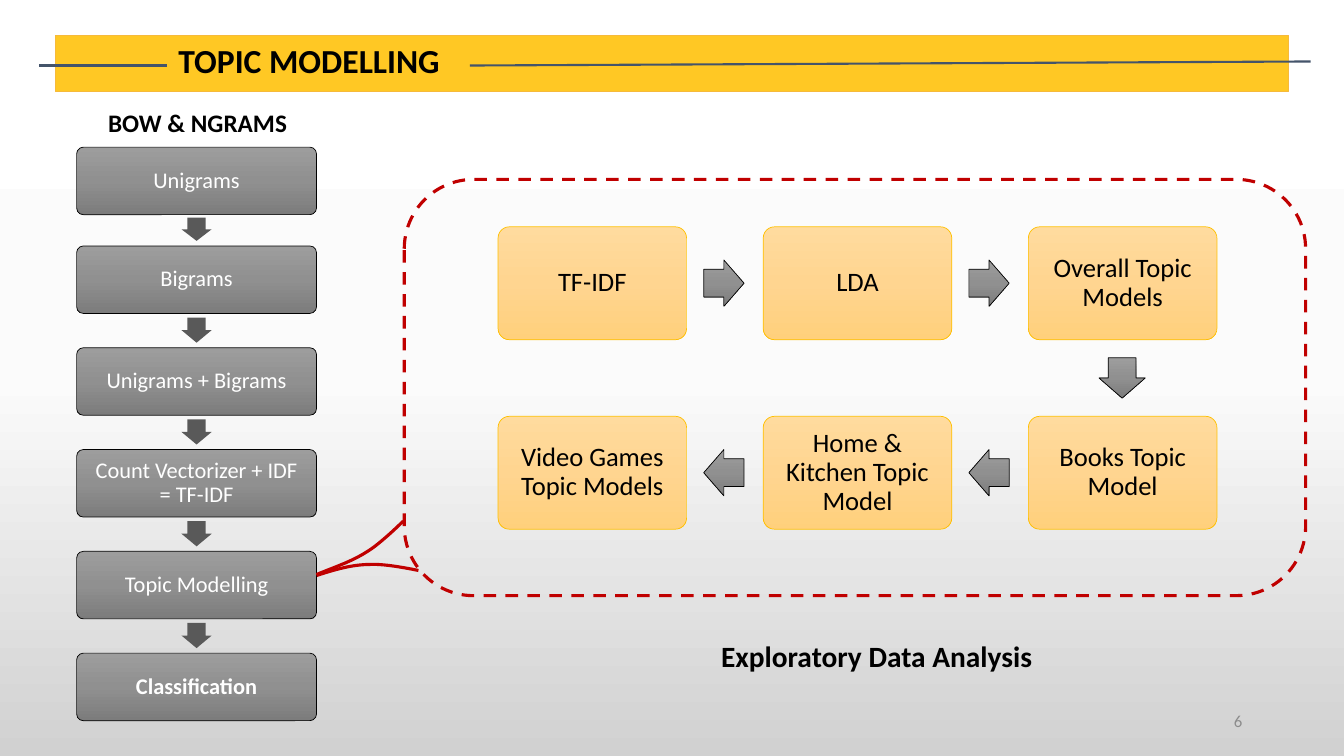
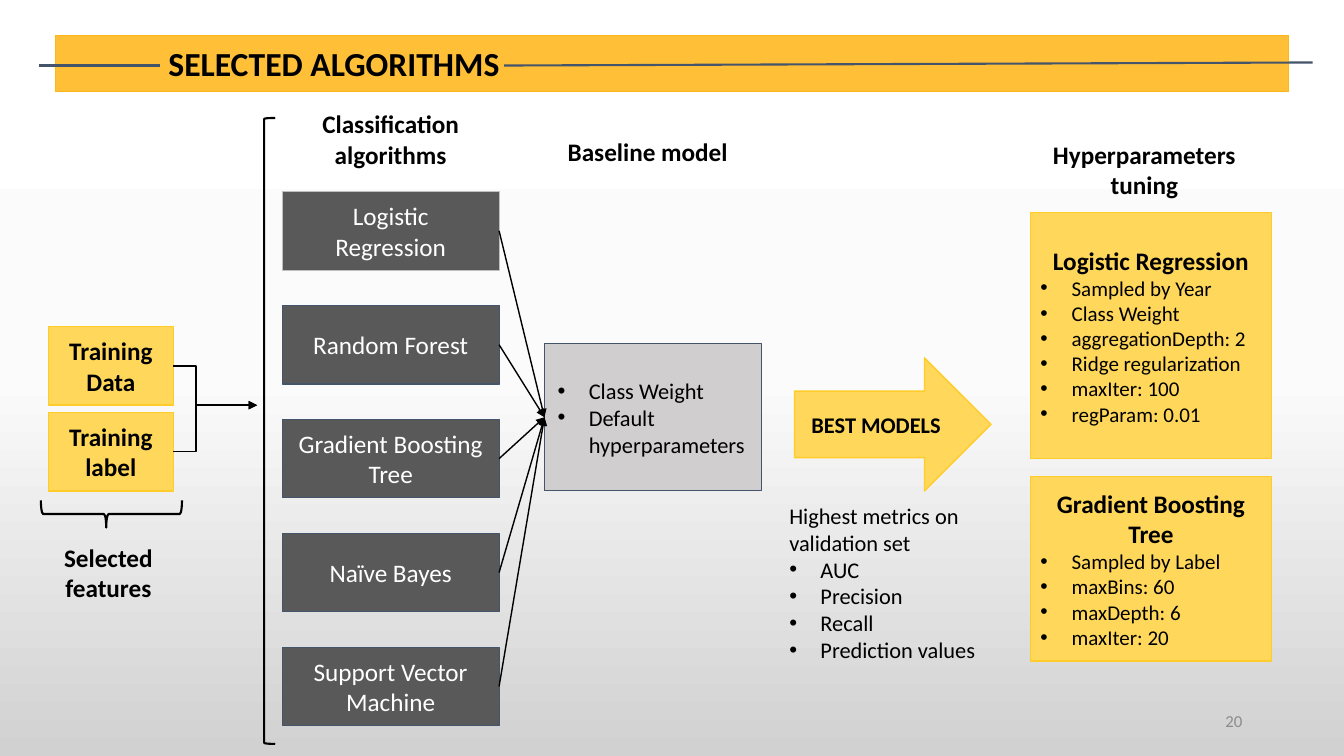
import itertools
from dataclasses import dataclass
from typing import Any, Optional

import lxml.etree
import pptx
import pptx.dml.color
import pptx.enum.dml
import pptx.enum.shapes
import pptx.enum.text
import pptx.oxml.ns
import pptx.util

# Shared measures, colours and types
EMU_PER_PX = 9144  # 100 px to the inch
FONT = "Calibri"
BLACK, WHITE, SLATE, CHARCOAL, RED = "000000", "FFFFFF", "44546A", "595959", "C00000"
YELLOW, YELLOW_EDGE, NUMBER_GREY = "FFD85B", "FFCC29", "8C8C8C"
BACKDROP = ("FFFFFF", "FBFBFB", "D1D1D1")
STEEL = ("9D9D9D", "909090", "7C7C7C")
AMBER = ("FFDB9E", "FFD590", "FFD07C")
SHAPE = pptx.enum.shapes.MSO_SHAPE
CONNECTOR = pptx.enum.shapes.MSO_CONNECTOR
ALIGN = pptx.enum.text.PP_ALIGN
ANCHOR = pptx.enum.text.MSO_ANCHOR
Point = tuple[int, int]


@dataclass(frozen=True)
class Rect:
    left: int
    top: int
    width: int
    height: int

    @property
    def center(self) -> Point:
        return self.left + self.width // 2, self.top + self.height // 2

    def emu(self) -> list[int]:
        return [px(side) for side in (self.left, self.top, self.width, self.height)]


@dataclass(frozen=True)
class Header:
    title: str
    title_rect: Rect
    band: str
    band_edge: str
    rule_left_end: int
    rule_right: tuple[Point, Point]
    number: str


@dataclass(frozen=True)
class Label:
    text: str
    rect: Rect
    size: float = 18


@dataclass(frozen=True)
class TuningCard:
    model: str
    rect: Rect
    settings: str


def px(length: float) -> int:
    return round(length * EMU_PER_PX)


def rgb(value: str) -> pptx.dml.color.RGBColor:
    return pptx.dml.color.RGBColor.from_string(value)


def child(parent: Any, tag: str, **attributes: str) -> Any:
    return lxml.etree.SubElement(parent, pptx.oxml.ns.qn(tag), attributes)


# Formatting helpers
def paint_gradient(fill: Any, element: Any, colors: tuple[str, ...]) -> None:
    """Fill from top to bottom with evenly spaced colours."""
    fill.gradient()
    fill.gradient_angle = 270
    stops = element.find(".//" + pptx.oxml.ns.qn("a:gsLst"))
    for stop in list(stops):
        stops.remove(stop)
    for index, color in enumerate(colors):
        position = str(100000 * index // (len(colors) - 1))
        child(child(stops, "a:gs", pos=position), "a:srgbClr", val=color)


def set_line(line: Any, color: str, weight: float) -> None:
    line.color.rgb = rgb(color)
    line.width = pptx.util.Pt(weight)


def write(box: Any, text: str, *, size: float = 18, color: str = BLACK,
          bold: bool = False, align: Any = ALIGN.CENTER, anchor: Any = ANCHOR.MIDDLE,
          inset: Point = (10, 5), spacing: Optional[float] = None,
          bullet: bool = False) -> None:
    """Add one paragraph to the box for each line of text."""
    frame = box.text_frame
    frame.word_wrap = True
    frame.auto_size = pptx.enum.text.MSO_AUTO_SIZE.NONE
    frame.vertical_anchor = anchor
    frame.margin_left = frame.margin_right = px(inset[0])
    frame.margin_top = frame.margin_bottom = px(inset[1])
    for line in text.split("\n"):
        para = frame.add_paragraph() if frame.text else frame.paragraphs[0]
        para.alignment = align
        if spacing:
            para.line_spacing = spacing
        if bullet:
            properties = para._p.get_or_add_pPr()
            properties.set("marL", str(px(31)))
            properties.set("indent", str(-px(31)))
            child(properties, "a:buFont", typeface="Arial")
            child(properties, "a:buChar", char="•")
        span = para.add_run()
        span.text = line
        span.font.name = FONT
        span.font.size = pptx.util.Pt(size)
        span.font.bold = bold
        span.font.color.rgb = rgb(color)


# Drawing helpers
def draw_shape(page: Any, kind: Any, rect: Rect, *, fill: Any = None,
               line: Optional[str] = None, weight: float = 0.75,
               adjust: tuple[float, ...] = (), rotation: float = 0) -> Any:
    shape = page.shapes.add_shape(kind, *rect.emu())
    shape.shadow.inherit = False
    shape.rotation = rotation
    for index, value in enumerate(adjust):
        shape.adjustments[index] = value
    if fill is None:
        shape.fill.background()
    elif isinstance(fill, tuple):
        paint_gradient(shape.fill, shape.element, fill)
    else:
        shape.fill.solid()
        shape.fill.fore_color.rgb = rgb(fill)
    if line:
        set_line(shape.line, line, weight)
    else:
        shape.line.fill.background()
    return shape


def draw_text(page: Any, rect: Rect, text: str, **style: Any) -> Any:
    box = page.shapes.add_textbox(*rect.emu())
    write(box, text, **{"anchor": ANCHOR.TOP, **style})
    return box


def draw_line(page: Any, start: Point, end: Point, *, color: str = BLACK,
              weight: float = 1, arrow: bool = False, bend: Optional[float] = None) -> None:
    kind = CONNECTOR.STRAIGHT if bend is None else CONNECTOR.ELBOW
    line = page.shapes.add_connector(kind, *[px(value) for value in start + end])
    set_line(line.line, color, weight)
    properties = line.element.spPr
    if bend is not None:
        guides = properties.find(".//" + pptx.oxml.ns.qn("a:avLst"))
        child(guides, "a:gd", name="adj1", fmla=f"val {round(bend * 100000)}")
    if arrow:
        child(properties.find(pptx.oxml.ns.qn("a:ln")), "a:tailEnd", type="triangle")
    child(properties, "a:effectLst")


def draw_curve(page: Any, points: list[Point], color: str, weight: float) -> None:
    """Trace cubic curves; each piece starts at the last point of the one before."""
    steps = 16
    trace = []
    for first in range(0, len(points) - 1, 3):
        a, b, c, d = points[first:first + 4]
        for t in (step / steps for step in range(1, steps + 1)):
            u = 1 - t
            trace.append(tuple(
                px(u**3 * a[i] + 3 * u * u * t * b[i] + 3 * u * t * t * c[i] + t**3 * d[i])
                for i in (0, 1)))
    builder = page.shapes.build_freeform(px(points[0][0]), px(points[0][1]))
    builder.add_line_segments(trace, close=False)
    curve = builder.convert_to_shape()
    curve.shadow.inherit = False
    curve.fill.background()
    set_line(curve.line, color, weight)


def add_page(deck: Any, header: Header) -> Any:
    """Add a slide with its backdrop, title band, rules and number."""
    page = deck.slides.add_slide(deck.slide_layouts.get_by_name("Title Only"))
    paint_gradient(page.background.fill, page.element, BACKDROP)
    band = draw_shape(page, SHAPE.RECTANGLE, Rect(55, 35, 1223, 56),
                      fill=header.band, line=header.band_edge)
    child(band.element.spPr.find(".//" + pptx.oxml.ns.qn("a:srgbClr")), "a:alpha", val="86000")
    title = page.shapes.title
    title.left, title.top, title.width, title.height = header.title_rect.emu()
    write(title, header.title, size=24, bold=True, align=ALIGN.LEFT,
          anchor=ANCHOR.TOP, spacing=0.9)
    title.element.addprevious(band.element)
    for start, end in (((39, 65), (header.rule_left_end, 65)), header.rule_right):
        draw_line(page, start, end, color=SLATE, weight=1.5)
    draw_text(page, Rect(942, 695, 300, 40), header.number, size=12, color=NUMBER_GREY,
              align=ALIGN.RIGHT, anchor=ANCHOR.MIDDLE)
    return page


# Slide: topic modelling
def build_topic_modelling(deck: Any) -> None:
    page = add_page(deck, Header("TOPIC MODELLING", Rect(167, 39, 327, 52), "FFC000", "F6BA3B",
                                 166, ((466, 65), (1300, 61)), "6"))

    # Column of steps with arrows in the gaps
    draw_text(page, Rect(76, 102, 240, 40), "BOW & NGRAMS", bold=True)
    steps = ("Unigrams", "Bigrams", "Unigrams + Bigrams", "Count Vectorizer + IDF = TF-IDF",
             "Topic Modelling", "Classification")
    boxes = [Rect(76, top, 238, 67) for top in (146, *range(244, 649, 101))]
    for step, rect in zip(steps, boxes):
        box = draw_shape(page, SHAPE.ROUNDED_RECTANGLE, rect, fill=STEEL, line=BLACK,
                         weight=0.5, adjust=(0.1,))
        write(box, step, size=16, color=WHITE, bold=step == steps[-1], inset=(9, 9), spacing=0.9)
    for upper, lower in itertools.pairwise(boxes):
        bottom = upper.top + upper.height
        gap = lower.top - bottom
        draw_shape(page, SHAPE.DOWN_ARROW, Rect(upper.center[0] - 15, bottom + gap // 8,
                                                30, gap * 3 // 4),
                   fill=CHARCOAL, adjust=(0.6, 0.5))

    # Snake of topic models: right, down, then left
    models = ("TF-IDF", "LDA", "Overall Topic Models", "Books Topic Model",
              "Home & Kitchen Topic Model", "Video Games Topic Models")
    cells = ((0, 0), (1, 0), (2, 0), (2, 1), (1, 1), (0, 1))
    cards = [Rect(494 + 263 * column, 225 + 188 * row, 187, 112) for column, row in cells]
    for model, rect in zip(models, cards):
        card = draw_shape(page, SHAPE.ROUNDED_RECTANGLE, rect, fill=AMBER, line="FFC000",
                          weight=0.5, adjust=(0.1,))
        write(card, model, size=19, inset=(11, 11), spacing=0.9)
    for before, after in itertools.pairwise(cards):
        (x1, y1), (x2, y2) = before.center, after.center
        width, height = (40, 46) if y1 == y2 else (46, 40)
        kind = (SHAPE.DOWN_ARROW if y2 > y1 else
                SHAPE.RIGHT_ARROW if x2 > x1 else SHAPE.LEFT_ARROW)
        draw_shape(page, kind, Rect((x1 + x2 - width) // 2, (y1 + y2 - height) // 2,
                                    width, height),
                   fill=STEEL, line=BLACK, weight=0.5, adjust=(0.6, 0.5))

    # Dashed callout with its curved tail
    frame = draw_shape(page, SHAPE.ROUNDED_RECTANGLE, Rect(401, 178, 894, 413),
                       line=RED, weight=2.25)
    frame.line.dash_style = pptx.enum.dml.MSO_LINE.DASH
    for points in (
        [(314, 571), (332, 565), (350, 560), (367, 560), (383, 559), (415, 566), (415, 566)],
        [(314, 570), (331, 563), (349, 557), (363, 548), (377, 540), (400, 517), (400, 517)],
    ):
        draw_curve(page, points, RED, 2.25)
    draw_text(page, Rect(667, 628, 405, 45), "Exploratory Data Analysis", size=21, bold=True)


# Slide: selected algorithms
def build_selected_algorithms(deck: Any) -> None:
    page = add_page(deck, Header("SELECTED ALGORITHMS", Rect(157, 42, 352, 48), "FFB618", "FFB618",
                                 159, ((500, 65), (1302, 62)), "20"))
    yellow = {"fill": YELLOW, "line": YELLOW_EDGE, "weight": 1}

    # Column headings
    for label in (Label("Selected features", Rect(28, 533, 159, 71)),
                  Label("Classification\nalgorithms", Rect(241, 103, 293, 71)),
                  Label("Baseline model", Rect(496, 130, 293, 40)),
                  Label("Hyperparameters tuning", Rect(1022, 133, 226, 65))):
        draw_text(page, label.rect, label.text, size=label.size, bold=True)

    # Training inputs
    for index, name in enumerate(("Training Data", "Training label")):
        rect = Rect(48, 324 + 85 * index, 124, 78)
        write(draw_shape(page, SHAPE.RECTANGLE, rect, **yellow), name, bold=True)
        draw_line(page, (172, rect.center[1]), (255, 402), arrow=True, bend=0.27)
    draw_shape(page, SHAPE.RIGHT_BRACE, Rect(97, 440, 27, 140), line=BLACK, weight=1.5,
               adjust=(0.083, 0.537), rotation=90)
    draw_shape(page, SHAPE.LEFT_BRACKET, Rect(262, 117, 11, 621), line=BLACK, weight=1.5)

    # Algorithms leading to the baseline model
    baseline = draw_shape(page, SHAPE.RECTANGLE, Rect(540, 341, 215, 146),
                          fill="D0CECE", line=SLATE)
    write(baseline, "Class Weight\nDefault hyperparameters", size=16, align=ALIGN.LEFT,
          inset=(13, 13), bullet=True)
    for index, name in enumerate(("Logistic Regression", "Random Forest", "Gradient Boosting Tree",
                                  "Naïve Bayes", "Support Vector Machine")):
        rect = Rect(280, 190 + 113 * index, 215, 78)
        box = draw_shape(page, SHAPE.RECTANGLE, rect, fill=CHARCOAL,
                         line=SLATE if index else "BFBFBF")
        write(box, name, color=WHITE, inset=(13, 13))
        draw_line(page, (495, rect.center[1]), (540, 414), arrow=True)

    # Choice of the best models
    arrow = draw_shape(page, SHAPE.RIGHT_ARROW, Rect(788, 355, 195, 132), **yellow)
    write(arrow, "BEST MODELS", size=16, bold=True)
    metrics = draw_text(page, Rect(773, 493, 210, 172), "Highest metrics on validation set",
                        size=16, align=ALIGN.LEFT)
    write(metrics, "AUC\nPrecision\nRecall\nPrediction values", size=16, align=ALIGN.LEFT,
          anchor=ANCHOR.TOP, bullet=True)

    # Tuning cards
    for card in (
        TuningCard("Logistic Regression", Rect(1022, 211, 239, 244),
                   "Sampled by Year\nClass Weight\naggregationDepth: 2\n"
                   "Ridge regularization\nmaxIter: 100\nregParam: 0.01"),
        TuningCard("Gradient Boosting Tree", Rect(1022, 473, 239, 183),
                   "Sampled by Label\nmaxBins: 60\nmaxDepth: 6\nmaxIter: 20"),
    ):
        box = draw_shape(page, SHAPE.RECTANGLE, card.rect, **yellow)
        write(box, card.model, bold=True)
        write(box, card.settings, size=15, align=ALIGN.LEFT, bullet=True)


def main() -> None:
    deck = pptx.Presentation()
    deck.slide_width, deck.slide_height = px(1333), px(750)
    build_topic_modelling(deck)
    build_selected_algorithms(deck)
    deck.save("out.pptx")


if __name__ == "__main__":
    main()
